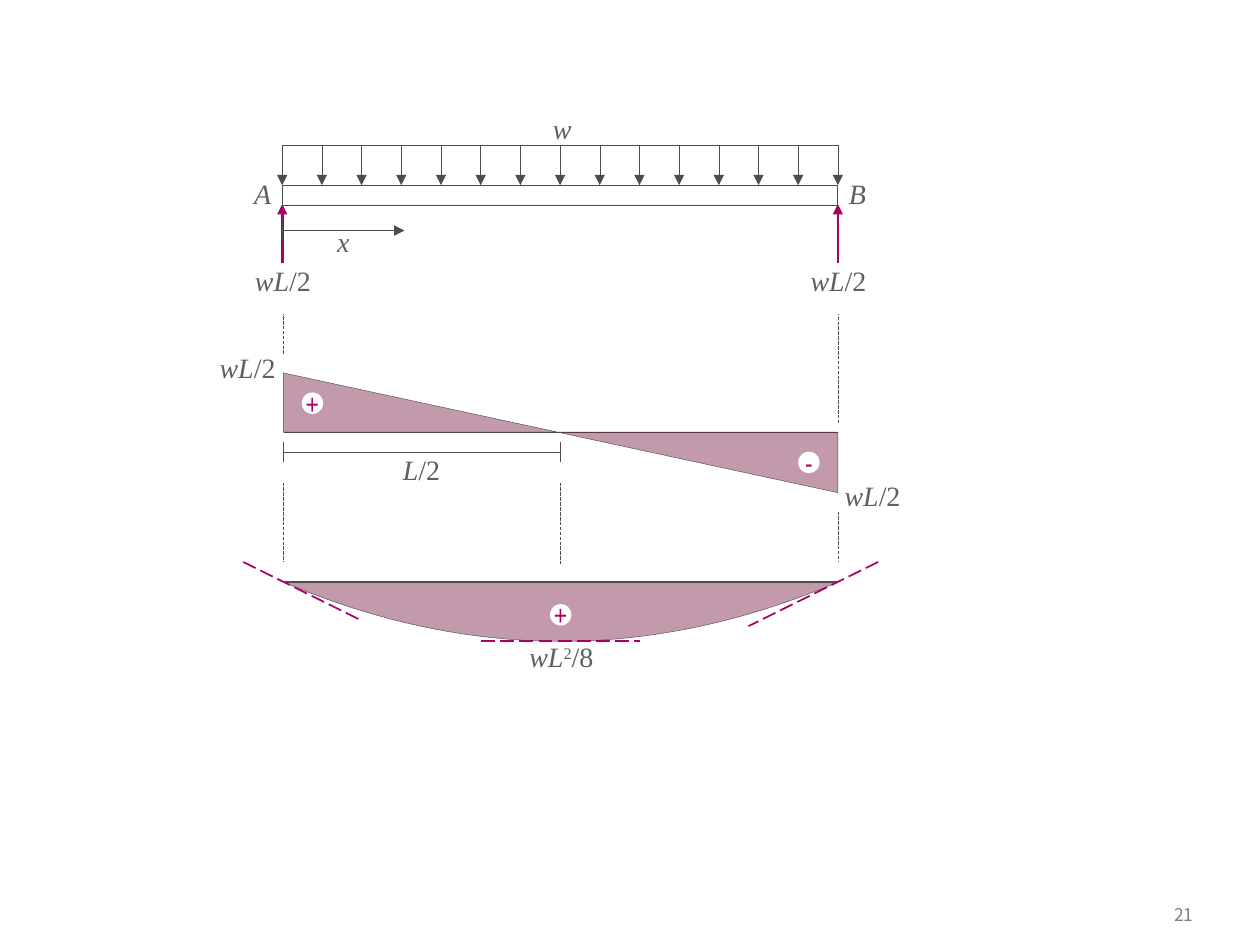
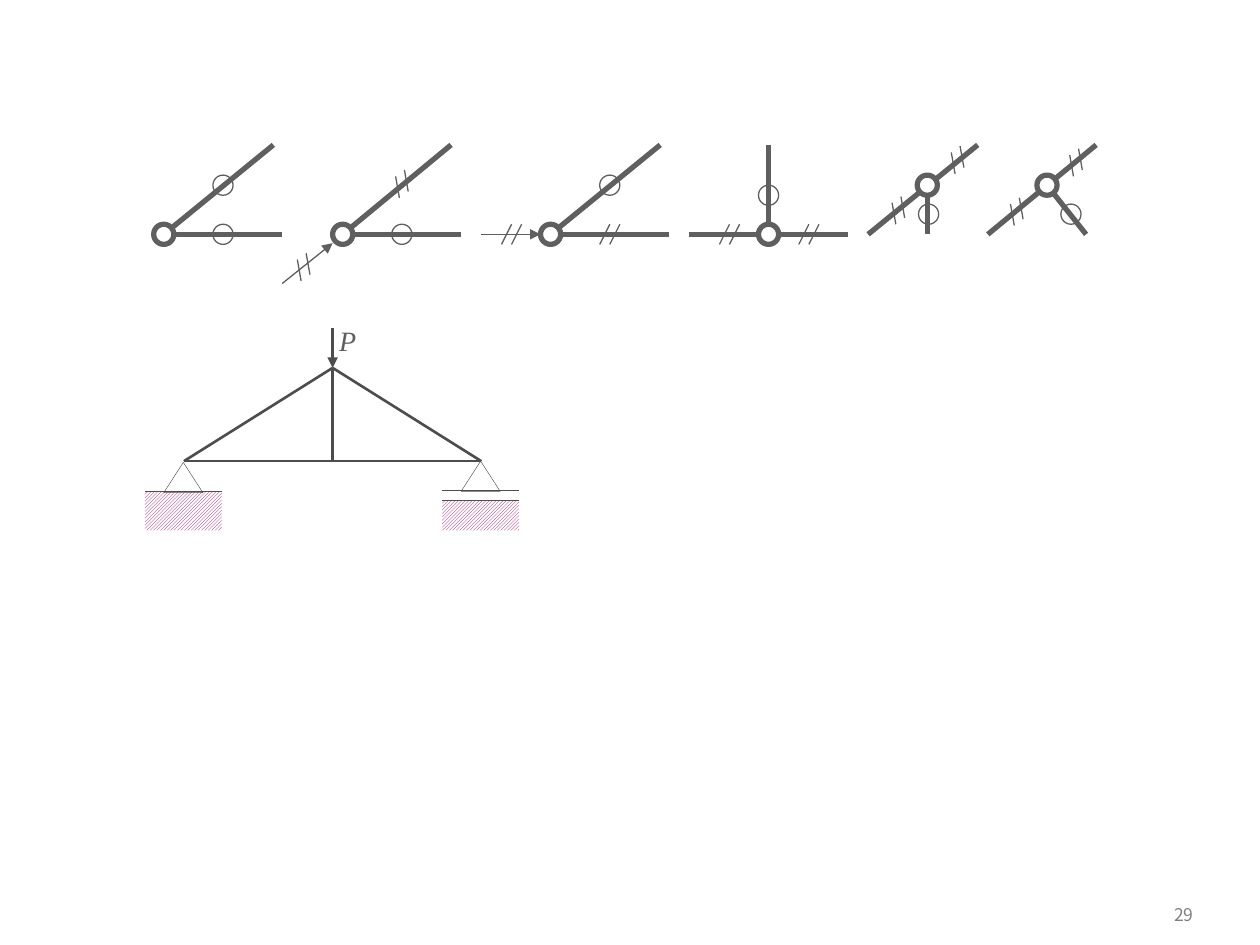
from dataclasses import dataclass
from typing import Any

from lxml import etree
from pptx import Presentation
from pptx.dml.color import RGBColor
from pptx.enum import dml, shapes, text
from pptx.oxml.ns import qn
from pptx.shapes.autoshape import Shape
from pptx.shapes.connector import Connector
from pptx.shapes.shapetree import GroupShapes
from pptx.slide import Slide
from pptx.util import Inches, Pt

INK, GREY, ACCENT, AREA, WHITE = "4D4D4D", "5F5F5F", "A90165", "6B0131", "FFFFFF"
PAGE_GREY = "808080"
SERIF, SIGN_FONT, PAGE_FONT = "Times New Roman", "Arial Narrow", "Noto Sans CJK KR"
Point = tuple[float, float]


@dataclass(frozen=True)
class Stroke:
    color: str
    width: float
    dashed: bool = False
    arrow: bool = False


@dataclass(frozen=True)
class Span:
    words: str
    italic: bool = True
    raised: bool = False


@dataclass(frozen=True)
class Label:
    spans: tuple[Span, ...]
    left: float
    top: float
    width: float


@dataclass(frozen=True)
class Joint:
    center: Point
    members: tuple[tuple[Point, Point], ...]
    zero_rings: tuple[Point, ...] = ()
    level_marks: tuple[float, ...] = ()
    slanted_marks: tuple[Point, ...] = ()
    force: tuple[Point, Point] | None = None


THIN = Stroke(INK, 0.25)
THIN_ARROW = Stroke(INK, 0.25, arrow=True)
GUIDE = Stroke(INK, 0.25, dashed=True)
AXIS = Stroke(INK, 0.75)
REACTION = Stroke(ACCENT, 1.5, arrow=True)
TANGENT = Stroke(ACCENT, 1, dashed=True)
MEMBER = Stroke(GREY, 3)
MARK = Stroke(GREY, 0.75)
FORCE = Stroke(GREY, 0.75, arrow=True)
TRUSS = Stroke(INK, 1.5)
TRUSS_LOAD = Stroke(INK, 1.5, arrow=True)

HALF_WL = (Span("wL"), Span("/2", italic=False))
LEFT, MIDDLE, RIGHT = 2.25, 4.45, 6.65


def rgb(color: str) -> RGBColor:
    return RGBColor.from_string(color)


def assign(target: Any, **values: Any) -> None:
    for name, value in values.items():
        setattr(target, name, value)


def set_stroke(item: Shape | Connector, stroke: Stroke) -> None:
    item.line.color.rgb = rgb(stroke.color)
    item.line.width = Pt(stroke.width)
    if stroke.dashed:
        item.line.dash_style = dml.MSO_LINE.LONG_DASH


def add_line(group: GroupShapes, start: Point, end: Point, stroke: Stroke) -> Connector:
    ends = [Inches(value) for value in (*start, *end)]
    line = group.add_connector(shapes.MSO_CONNECTOR.STRAIGHT, *ends)
    set_stroke(line, stroke)
    properties = line._element.spPr
    if stroke.arrow:
        etree.SubElement(properties.find(qn("a:ln")), qn("a:tailEnd"), type="triangle")
    etree.SubElement(properties, qn("a:effectLst"))
    return line


def finish(shape: Shape, fill: str | None, stroke: Stroke | None) -> None:
    shape.shadow.inherit = False
    if fill:
        shape.fill.solid()
        shape.fill.fore_color.rgb = rgb(fill)
    else:
        shape.fill.background()
    if stroke:
        set_stroke(shape, stroke)
    else:
        shape.line.fill.background()


def add_preset(group: GroupShapes, kind: shapes.MSO_SHAPE, box: tuple[float, ...],
               fill: str | None = None, stroke: Stroke | None = None) -> Shape:
    shape = group.add_shape(kind, *(Inches(value) for value in box))
    finish(shape, fill, stroke)
    return shape


def add_circle(group: GroupShapes, center: Point, fill: str | None = None,
               stroke: Stroke | None = None, size: float = 0.16) -> Shape:
    x, y = center
    box = (x - size / 2, y - size / 2, size, size)
    return add_preset(group, shapes.MSO_SHAPE.OVAL, box, fill, stroke)


def add_sign(group: GroupShapes, center: Point, sign: str) -> None:
    """Write the sign of a diagram area on a white disc."""
    disc = add_circle(group, center, WHITE, size=0.17)
    assign(disc.text_frame, word_wrap=False, vertical_anchor=text.MSO_ANCHOR.MIDDLE)
    para = disc.text_frame.paragraphs[0]
    para.alignment = text.PP_ALIGN.CENTER
    span = para.add_run()
    span.text = sign
    assign(span.font, name=SIGN_FONT, size=Pt(16))
    span.font.color.rgb = rgb(ACCENT)


def add_label(group: GroupShapes, label: Label, height: float = 0.37) -> Shape:
    place = (label.left, label.top, label.width, height)
    box = group.add_textbox(*(Inches(value) for value in place))
    assign(box.text_frame, word_wrap=True, auto_size=text.MSO_AUTO_SIZE.SHAPE_TO_FIT_TEXT)
    para = box.text_frame.paragraphs[0]
    para.alignment = text.PP_ALIGN.CENTER
    for part in label.spans:
        span = para.add_run()
        span.text = part.words
        assign(span.font, name=SERIF, size=Pt(16), italic=part.italic)
        span.font.color.rgb = rgb(GREY)
        if part.raised:
            span._r.get_or_add_rPr().set("baseline", "30000")
    return box


def add_area(group: GroupShapes, outline: list[Point]) -> None:
    """Draw a closed, see-through diagram area."""
    points = [(Inches(x), Inches(y)) for x, y in outline]
    builder = group.build_freeform(*points[0])
    builder.add_line_segments(points[1:], close=True)
    area = builder.convert_to_shape()
    finish(area, AREA, THIN)
    color = area._element.spPr.find(qn("a:solidFill"))[0]
    etree.SubElement(color, qn("a:alpha"), val="40000")


def add_page_number(page: Slide, number: int) -> None:
    box = page.shapes.add_textbox(Inches(8.86), Inches(7.09), Inches(0.71), Inches(0.33))
    assign(box.text_frame, word_wrap=True, vertical_anchor=text.MSO_ANCHOR.MIDDLE)
    para = box.text_frame.paragraphs[0]
    para.alignment = text.PP_ALIGN.RIGHT
    span = para.add_run()
    span.text = str(number)
    assign(span.font, name=PAGE_FONT, size=Pt(10))
    span.font.color.rgb = rgb(PAGE_GREY)


def new_group(page: Slide) -> GroupShapes:
    return page.shapes.add_group_shape().shapes


def draw_loaded_beam(group: GroupShapes) -> None:
    start, load_top, beam_top, intervals = 2.24, 1.15, 1.47, 14
    for x in (start, RIGHT):
        add_line(group, (x, 2.09), (x, 1.62), REACTION)
    beam = add_preset(group, shapes.MSO_SHAPE.RECTANGLE,
                      (start, beam_top, RIGHT - start, 0.16), stroke=AXIS)
    add_line(group, (RIGHT, load_top), (start, load_top), THIN)
    for index in range(intervals + 1):
        x = start + index * (RIGHT - start) / intervals
        arrow = add_line(group, (x, load_top), (x, beam_top), THIN_ARROW)
        if index == intervals // 2:
            arrow.end_connect(beam, 0)
    add_line(group, (start, 1.75), (start, 1.91), THIN)
    add_line(group, (start, 1.83), (3.21, 1.83), THIN_ARROW)
    for label in (
        Label((Span("A"),), 1.85, 1.35, 0.47),
        Label((Span("w"),), 4.29, 0.84, 0.31),
        Label((Span("B"),), 6.57, 1.35, 0.47),
        Label((Span("x"),), 2.56, 1.73, 0.33),
        Label(HALF_WL, 1.85, 2.04, 0.79),
        Label(HALF_WL, 6.26, 2.04, 0.79),
    ):
        add_label(group, label)


def draw_half_span(group: GroupShapes) -> None:
    add_line(group, (LEFT, 3.59), (MIDDLE, 3.59), THIN)
    for x in (LEFT, MIDDLE):
        add_line(group, (x, 3.67), (x, 3.51), THIN)
    add_label(group, Label((Span("L"), Span("/2", italic=False)), 3.03, 3.54, 0.63))


def draw_shear(group: GroupShapes) -> None:
    axis = 3.43
    add_line(group, (LEFT, axis), (RIGHT, axis), AXIS)
    add_area(group, [(LEFT, axis), (LEFT, 2.96), (RIGHT, 3.91), (RIGHT, axis)])
    add_sign(group, (2.48, 3.2), "+")
    add_sign(group, (6.42, 3.67), "-")
    for x, top, bottom in ((LEFT, 3.83, 4.46), (MIDDLE, 3.83, 4.48), (RIGHT, 4.06, 4.46)):
        add_line(group, (x, top), (x, bottom), GUIDE)
    add_label(group, Label(HALF_WL, 1.61, 2.73, 0.71))
    add_label(group, Label(HALF_WL, 6.57, 3.75, 0.71))


def draw_moment(group: GroupShapes) -> None:
    axis, depth, steps = 4.62, 0.47, 40
    ratios = [1 - 2 * index / steps for index in range(steps + 1)]
    half = (RIGHT - LEFT) / 2
    parabola = [(MIDDLE + half * ratio, axis + depth * (1 - ratio**2)) for ratio in ratios]
    add_area(group, [(LEFT, axis), *parabola])
    add_line(group, (LEFT, axis), (RIGHT, axis), AXIS)
    add_sign(group, (MIDDLE, 4.88), "+")
    for start, end in (((1.93, 4.46), (2.88, 4.93)),
                       ((3.82, 5.09), (5.08, 5.09)),
                       ((6.97, 4.46), (5.94, 4.97))):
        add_line(group, start, end, TANGENT)
    peak = (Span("wL"), Span("2", italic=False, raised=True), Span("/8", italic=False))
    add_label(group, Label(peak, 4.06, 5.03, 0.79))


CHORD = 1.86
JOINTS = (
    Joint((1.3, CHORD), (((2.17, 1.15), (1.3, CHORD)), ((1.38, CHORD), (2.24, CHORD))),
          zero_rings=((1.77, 1.47), (1.77, CHORD))),
    Joint((2.72, CHORD), (((3.58, 1.15), (2.72, CHORD)), ((2.79, CHORD), (3.66, CHORD))),
          zero_rings=((3.19, CHORD),), slanted_marks=((2.36, 2.06), (3.14, 1.4)),
          force=((2.24, 2.25), (2.64, 1.93))),
    Joint((4.37, CHORD), (((5.24, 1.15), (4.37, CHORD)), ((4.45, CHORD), (5.31, CHORD))),
          zero_rings=((4.84, 1.47),), level_marks=(4.06, 4.84),
          force=((3.82, CHORD), (4.29, CHORD))),
    Joint((6.1, CHORD), (((6.1, 1.15), (6.1, CHORD)), ((5.47, CHORD), (6.73, CHORD))),
          zero_rings=((6.1, 1.55),), level_marks=(5.79, 6.42)),
    Joint((7.36, 1.47), (((7.76, 1.15), (6.89, CHORD)), ((7.36, 1.47), (7.36, CHORD))),
          zero_rings=((7.37, 1.7),), slanted_marks=((7.08, 1.61), (7.55, 1.21))),
    Joint((8.31, 1.47), (((8.31, 1.47), (8.62, CHORD)), ((8.7, 1.15), (7.84, CHORD))),
          zero_rings=((8.5, 1.7),), slanted_marks=((8.02, 1.62), (8.49, 1.23))),
)


def draw_joint(group: GroupShapes, joint: Joint) -> None:
    for start, end in joint.members:
        add_line(group, start, end, MEMBER)
    add_circle(group, joint.center, WHITE, MEMBER)
    if joint.force:
        add_line(group, *joint.force, FORCE)
    for center in joint.zero_rings:
        add_circle(group, center, stroke=MARK)
    for x in joint.level_marks:
        for top in (x, x + 0.08):
            add_line(group, (top, 1.78), (top - 0.08, 1.94), MARK)
    for x, y in joint.slanted_marks:
        for left, top in ((x, y), (x + 0.07, y - 0.05)):
            add_line(group, (left, top), (left + 0.03, top + 0.17), MARK)


def draw_support(group: GroupShapes, x: float, top: float, ground: float) -> None:
    """Draw a triangle with its apex at x, and the hatched ground below it."""
    hatch = add_preset(group, shapes.MSO_SHAPE.RECTANGLE, (x - 0.31, ground, 0.61, 4.21 - ground))
    hatch.fill.patterned()
    hatch.fill.pattern = dml.MSO_PATTERN.LIGHT_UPWARD_DIAGONAL
    hatch.fill.fore_color.rgb = rgb(ACCENT)
    hatch.fill.back_color.rgb = rgb(WHITE)
    add_preset(group, shapes.MSO_SHAPE.ISOSCELES_TRIANGLE, (x - 0.16, top, 0.31, 0.24), stroke=THIN)
    for y in sorted({round(top + 0.23, 2), ground}):
        add_line(group, (x - 0.31, y), (x + 0.3, y), THIN)


def draw_truss(group: GroupShapes) -> None:
    left, apex, right, foot = (1.46, 3.66), (2.64, 2.92), (3.82, 3.66), (2.64, 3.66)
    for start, end in ((apex, left), (right, left), (apex, foot), (apex, right)):
        add_line(group, start, end, TRUSS)
    draw_support(group, left[0], 3.67, 3.9)
    draw_support(group, right[0], 3.66, 3.97)
    add_line(group, (apex[0], 2.6), apex, TRUSS_LOAD)
    load = add_label(group, Label((Span("P"),), 2.64, 2.57, 0.24), height=0.27)
    assign(load.text_frame, auto_size=text.MSO_AUTO_SIZE.NONE,
           margin_left=0, margin_top=0, margin_right=0, margin_bottom=0)


def main() -> None:
    deck = Presentation()
    assign(deck, slide_width=Inches(10), slide_height=Inches(7.5))
    beam_page, truss_page = (deck.slides.add_slide(deck.slide_layouts[6]) for _ in range(2))

    add_page_number(beam_page, 21)
    for x, bottom in ((LEFT, 2.81), (RIGHT, 3.36)):
        add_line(beam_page.shapes, (x, bottom), (x, 2.49), GUIDE)
    for draw in (draw_loaded_beam, draw_half_span, draw_shear, draw_moment):
        draw(new_group(beam_page))

    add_page_number(truss_page, 29)
    for joint in JOINTS:
        draw_joint(new_group(truss_page), joint)
    draw_truss(new_group(truss_page))
    deck.save("out.pptx")


if __name__ == "__main__":
    main()
